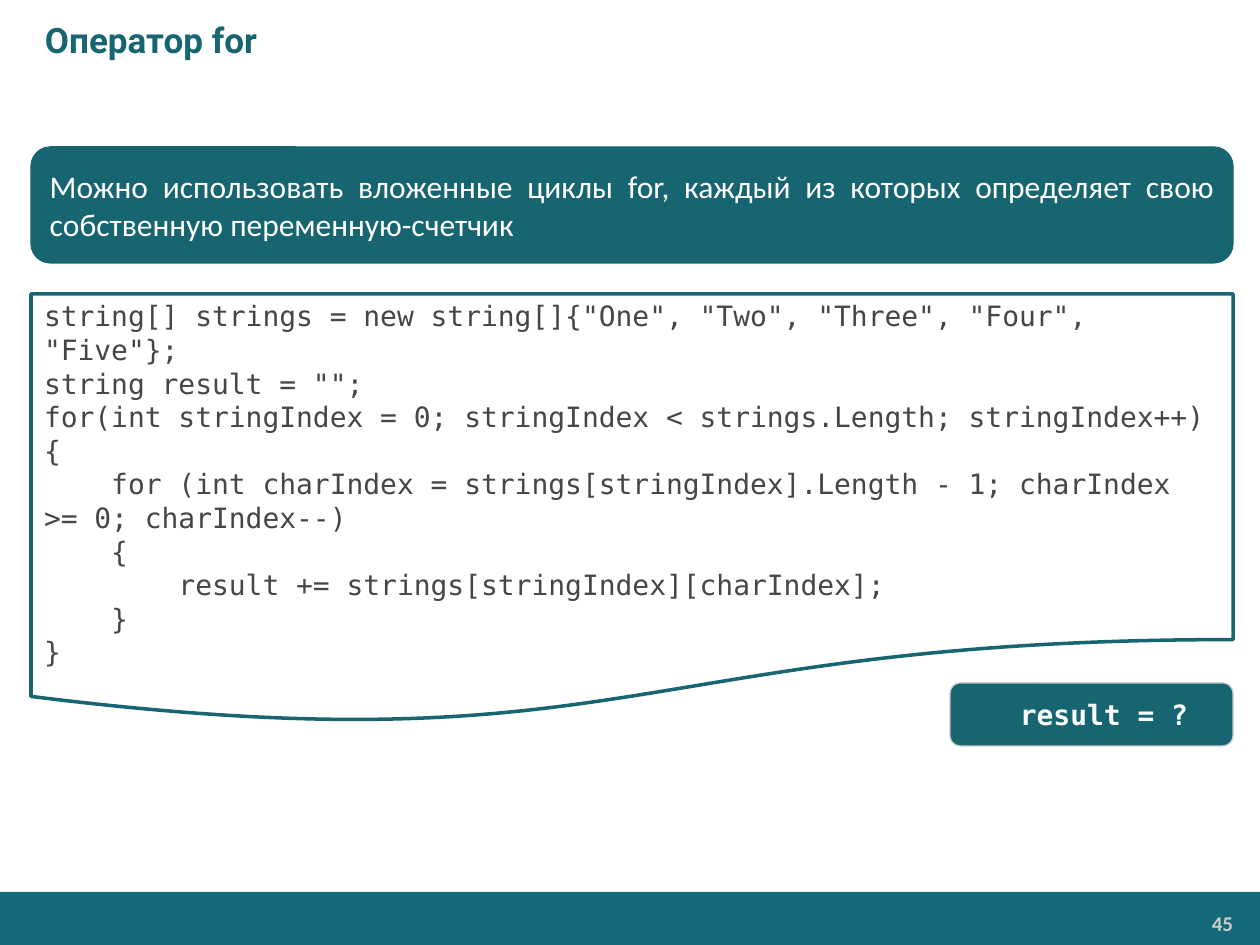
"""Build the slide on nested for loops."""
from dataclasses import dataclass
from typing import Optional

from pptx import Presentation
from pptx.dml.color import RGBColor
from pptx.enum.shapes import MSO_SHAPE
from pptx.enum.text import MSO_ANCHOR, PP_ALIGN
from pptx.slide import Slide
from pptx.util import Emu, Pt


@dataclass(frozen=True)
class Theme:
    teal: str = "176571"
    footer: str = "146878"
    paper: str = "FFFFFF"
    ink: str = "464547"
    edge: str = "C8C8C8"
    number: str = "CCCCCC"
    heading: str = "Roboto"
    body: str = "Calibri"
    mono: str = "DejaVu Sans Mono"
    title_pt: int = 20
    lead_pt: int = 18
    code_pt: int = 16
    number_pt: int = 12


@dataclass(frozen=True)
class TextStyle:
    font: str
    size: int
    color: str
    bold: bool = False
    align: PP_ALIGN = PP_ALIGN.LEFT
    anchor: MSO_ANCHOR = MSO_ANCHOR.MIDDLE
    indent: int = 0
    inset_x: int = 13
    inset_y: int = 6


@dataclass(frozen=True)
class Box:
    left: int
    top: int
    width: int
    height: int
    text: str = ""
    style: Optional[TextStyle] = None
    shape: Optional[MSO_SHAPE] = None
    fill: str = ""
    line: str = ""
    line_pt: float = 0.75


THEME = Theme()
SLIDE_W, SLIDE_H = 1260, 945
MARGIN, CONTENT_W = 31, 1202
CODE = """string[] strings = new string[]{"One", "Two", "Three", "Four", "Five"};
string result = "";
for(int stringIndex = 0; stringIndex < strings.Length; stringIndex++)
{
    for (int charIndex = strings[stringIndex].Length - 1; charIndex >= 0; charIndex--)
    {
        result += strings[stringIndex][charIndex];
    }
}"""
LEAD = ("Можно использовать вложенные циклы for, каждый из которых "
        "определяет свою собственную переменную-счетчик")

TITLE_STYLE = TextStyle(THEME.heading, THEME.title_pt, THEME.teal, True, indent=32)
LEAD_STYLE = TextStyle(THEME.body, THEME.lead_pt, THEME.paper, align=PP_ALIGN.JUSTIFY)
CODE_STYLE = TextStyle(THEME.mono, THEME.code_pt, THEME.ink,
                       anchor=MSO_ANCHOR.TOP, inset_y=5)
RESULT_STYLE = TextStyle(THEME.mono, THEME.code_pt, THEME.paper, True,
                         PP_ALIGN.CENTER, indent=25)
NUMBER_STYLE = TextStyle(THEME.body, THEME.number_pt, THEME.number, True,
                         PP_ALIGN.RIGHT, MSO_ANCHOR.TOP, inset_x=9, inset_y=5)

BOXES = (
    Box(0, 892, SLIDE_W, 53, shape=MSO_SHAPE.RECTANGLE, fill=THEME.footer),
    Box(1037, 906, 205, 35, "45", NUMBER_STYLE),
    Box(0, 0, SLIDE_W, 79, "Оператор for", TITLE_STYLE),
    Box(MARGIN, 294, CONTENT_W, 431, CODE, CODE_STYLE,
        MSO_SHAPE.FLOWCHART_DOCUMENT, THEME.paper, THEME.teal, 2),
    Box(MARGIN, 147, CONTENT_W, 116, LEAD, LEAD_STYLE,
        MSO_SHAPE.ROUNDED_RECTANGLE, THEME.teal, THEME.teal),
    Box(950, 683, 283, 63, "result = ?", RESULT_STYLE,
        MSO_SHAPE.ROUNDED_RECTANGLE, THEME.teal, THEME.edge),
)


def px(n: int) -> Emu:
    """Turn pixels into EMU."""
    return Emu(round(n * 914400 / 126))


def rgb(color: str) -> RGBColor:
    """Turn a hex string into a colour."""
    return RGBColor.from_string(color)


def write(sp, text: str, style: TextStyle) -> None:
    """Put styled text into a shape."""
    tf = sp.text_frame
    tf.text = text
    tf.word_wrap = True
    tf.vertical_anchor = style.anchor
    tf.margin_left = tf.margin_right = px(style.inset_x)
    tf.margin_top = tf.margin_bottom = px(style.inset_y)
    for p in tf.paragraphs:
        p.alignment = style.align
        if style.indent:
            p._p.get_or_add_pPr().set("marL", str(px(style.indent)))
        for r in p.runs:
            r.font.name = style.font
            r.font.size = Pt(style.size)
            r.font.bold = style.bold
            r.font.color.rgb = rgb(style.color)


def draw(s: Slide, box: Box) -> None:
    """Draw one box on the slide."""
    place = [px(n) for n in (box.left, box.top, box.width, box.height)]
    if box.shape is None:
        sp = s.shapes.add_textbox(*place)
    else:
        sp = s.shapes.add_shape(box.shape, *place)
        sp.shadow.inherit = False
        sp.fill.solid()
        sp.fill.fore_color.rgb = rgb(box.fill)
        if box.line:
            sp.line.color.rgb = rgb(box.line)
            sp.line.width = Pt(box.line_pt)
        else:
            sp.line.fill.background()
    if box.style:
        write(sp, box.text, box.style)


def main() -> None:
    """Build and save the presentation."""
    prs = Presentation()
    prs.slide_width, prs.slide_height = px(SLIDE_W), px(SLIDE_H)
    s = prs.slides.add_slide(prs.slide_layouts[6])
    for box in BOXES:
        draw(s, box)
    prs.save("out.pptx")


if __name__ == "__main__":
    main()
